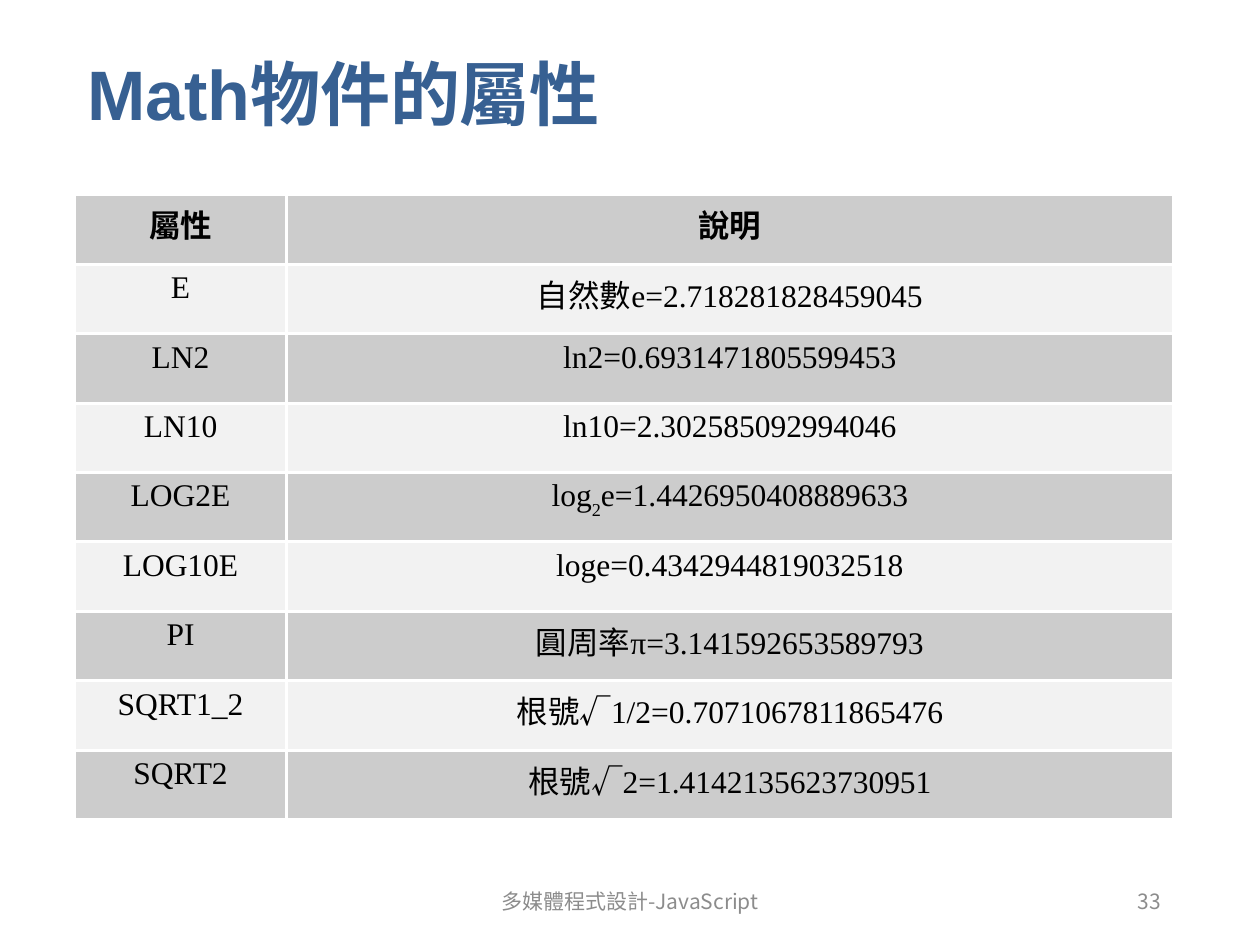
from lxml.etree import SubElement
from pptx import Presentation
from pptx.dml.color import RGBColor as RGB
from pptx.enum.text import MSO_ANCHOR as ANCHOR, PP_ALIGN as ALIGN
from pptx.oxml.ns import qn
from pptx.util import Cm, Pt

COLORS = {"title": "376092", "dark": "CCCCCC", "light": "F2F2F2",
          "text": "000000", "footer": "8C8C8C", "border": "FFFFFF"}
CJK = "Noto Sans CJK KR"
ROWS = [
    ("屬性", ["說明"]),
    ("E", ["自然數e=2.718281828459045"]),
    ("LN2", ["ln2=0.6931471805599453"]),
    ("LN10", ["ln10=2.302585092994046"]),
    ("LOG2E", ["log", "2", "e=1.4426950408889633"]),
    ("LOG10E", ["loge=0.4342944819032518"]),
    ("PI", ["圓周率π=3.141592653589793"]),
    ("SQRT1_2", ["根號√1/2=0.7071067811865476"]),
    ("SQRT2", ["根號√2=1.4142135623730951"]),
]


class Deck:
    """Holds the presentation, its current slide and the shared style."""

    def __init__(self):
        self.prs = Presentation()
        self.prs.slide_width, self.prs.slide_height = Cm(25.4), Cm(19.05)
        self.slide = self.prs.slides.add_slide(self.prs.slide_layouts[5])

    def run(self, p, text, size, color, font, bold=False, baseline=0):
        r = p.add_run()
        r.text = text
        r.font.size, r.font.bold, r.font.name = Pt(size), bold, font
        r.font.color.rgb = RGB.from_string(COLORS[color])
        rPr = r._r.get_or_add_rPr()
        SubElement(rPr, qn("a:ea"), typeface=CJK)
        if baseline:
            rPr.set("baseline", str(baseline * 1000))

    def title(self, text, left, top, width, height):
        sp = self.slide.shapes.title
        sp.left, sp.top, sp.width, sp.height = map(Cm, (left, top, width, height))
        tf = sp.text_frame
        tf.vertical_anchor = ANCHOR.MIDDLE
        p = tf.paragraphs[0]
        p.alignment = ALIGN.LEFT
        self.run(p, text, 40, "title", "Arial", bold=True)

    def text(self, text, left, top, width, height, align):
        sp = self.slide.shapes.add_textbox(*map(Cm, (left, top, width, height)))
        tf = sp.text_frame
        tf.word_wrap, tf.vertical_anchor = True, ANCHOR.MIDDLE
        p = tf.paragraphs[0]
        p.alignment = align
        self.run(p, text, 12, "footer", CJK)

    def cell(self, cell, parts, fill, bold):
        tcPr = cell._tc.get_or_add_tcPr()
        for side in ("lnL", "lnR", "lnT", "lnB"):
            ln = SubElement(tcPr, qn(f"a:{side}"), w=str(Pt(2)))
            SubElement(SubElement(ln, qn("a:solidFill")), qn("a:srgbClr"), val=COLORS["border"])
        cell.fill.solid()
        cell.fill.fore_color.rgb = RGB.from_string(COLORS[fill])
        p = cell.text_frame.paragraphs[0]
        p.alignment = ALIGN.CENTER
        pPr = p._p.get_or_add_pPr()
        pPr.set("marL", str(Cm(0.95)))
        pPr.set("indent", str(-Cm(0.95)))
        for i, part in enumerate(parts):
            self.run(p, part, 18, "text", "Times New Roman", bold, -30 if i == 1 else 0)

    def table(self, rows, left, top, widths, row_height):
        box = (left, top, sum(widths), row_height * len(rows))
        table = self.slide.shapes.add_table(len(rows), len(widths), *map(Cm, box)).table
        table.first_row = table.horz_banding = False
        for column, width in zip(table.columns, widths):
            column.width = Cm(width)
        for i, (name, parts) in enumerate(rows):
            table.rows[i].height = Cm(row_height)
            fill = "light" if i % 2 else "dark"
            self.cell(table.cell(i, 0), [name], fill, i == 0)
            self.cell(table.cell(i, 1), parts, fill, i == 0)


def main():
    deck = Deck()
    deck.title("Math物件的屬性", 1.5, 0.13, 22.15, 3.48)
    deck.table(ROWS, 1.5, 3.93, (4.28, 17.87), 1.4)
    deck.text("多媒體程式設計-JavaScript", 8.41, 17.65, 8.58, 1.02, ALIGN.CENTER)
    deck.text("33", 17.93, 17.65, 5.72, 1.02, ALIGN.RIGHT)
    deck.prs.save("out.pptx")


if __name__ == "__main__":
    main()
